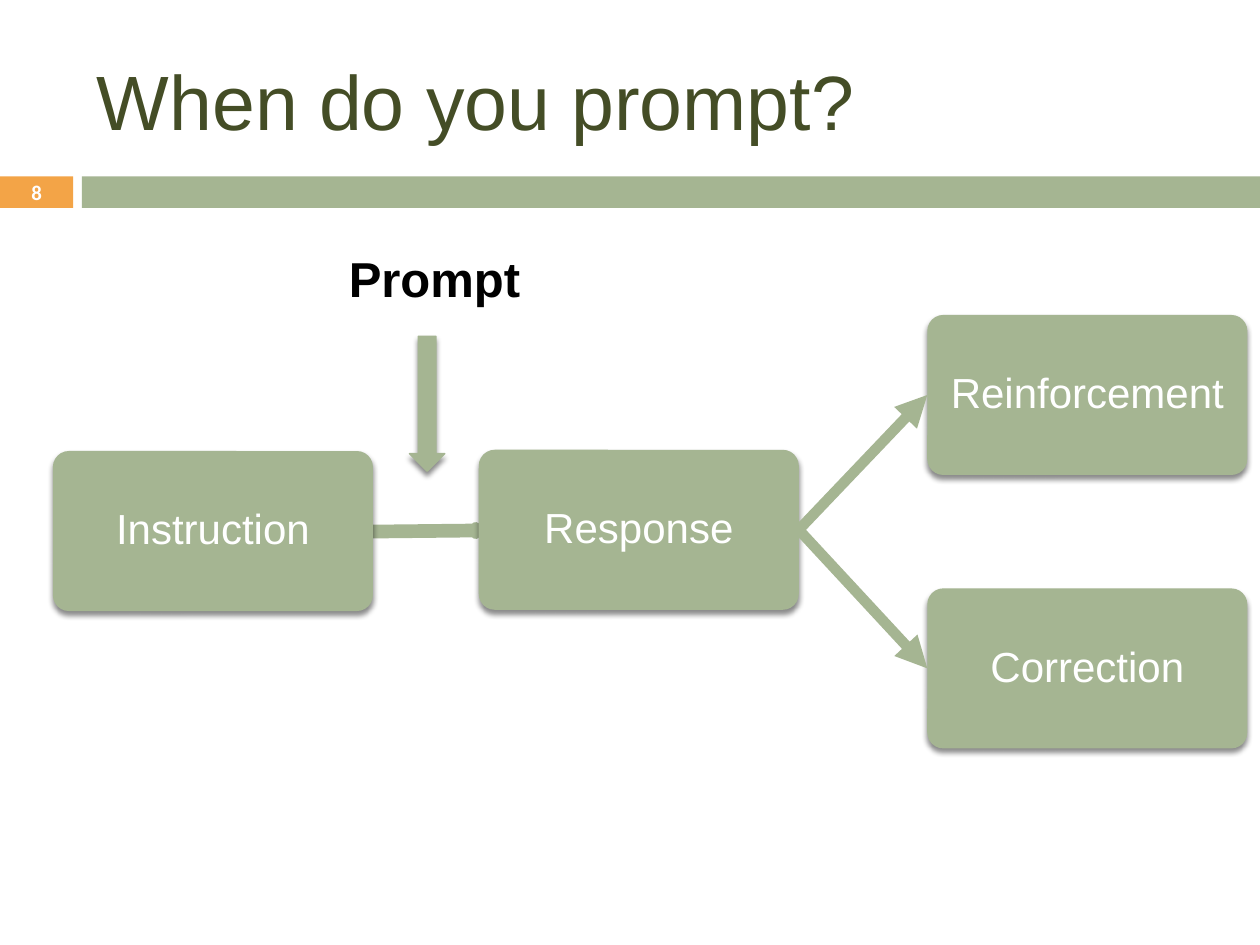
from lxml.etree import SubElement
from pptx import Presentation
from pptx.dml.color import RGBColor
from pptx.enum.shapes import MSO_CONNECTOR as Connector, MSO_SHAPE as Shape
from pptx.enum.text import MSO_ANCHOR as Anchor, PP_ALIGN as Align
from pptx.oxml import parse_xml
from pptx.oxml.ns import nsdecls, qn
from pptx.util import Inches, Pt

COLORS = {"green": "A5B592", "orange": "F3A447", "olive": "444D26",
          "white": "FFFFFF", "black": "000000"}

BARS = [("orange", 0, 0.58), ("green", 0.65, 9.35)]  # colour, left, width
BAR_TOP, BAR_HEIGHT = 1.4, 0.25

# text, position, format
LABELS = [
    ("When do you prompt?", (0.67, 0.25, 8.92, 1.08),
     dict(size=44, color="olive", anchor=Anchor.MIDDLE)),
    ("Prompt", (2.67, 1.92, 1.75, 0.57),
     dict(size=28, color="black", bold=True)),
    ("8", (0, 1.39, 0.58, 0.27),
     dict(size=11.9, color="white", bold=True, font="Calibri",
          anchor=Anchor.MIDDLE, align=Align.CENTER)),
]

STEP_WIDTH, STEP_HEIGHT = 2.54, 1.27
STEPS = {"Instruction": (0.42, 3.58), "Response": (3.8, 3.57),
         "Reinforcement": (7.36, 2.5), "Correction": (7.36, 4.67)}
OUTCOMES = ["Reinforcement", "Correction"]


def rgb(name):
    return RGBColor.from_string(COLORS[name])


def write(shape, text, size, color, bold=False, font="Arial",
          anchor=Anchor.TOP, align=Align.LEFT, line_spacing=None, inset=None):
    frame = shape.text_frame
    frame.word_wrap = True
    frame.vertical_anchor = anchor
    if inset is not None:
        for side in ("left", "right", "top", "bottom"):
            setattr(frame, f"margin_{side}", Inches(inset))
    para = frame.paragraphs[0]
    para.alignment = align
    if line_spacing:
        para.line_spacing = line_spacing
    span = para.add_run()
    span.text = text
    for name, value in {"size": Pt(size), "bold": bold, "name": font}.items():
        setattr(span.font, name, value)
    span.font.color.rgb = rgb(color)


def add_shape(page, kind, place, fill=None, line_width=0, shadow=False):
    shape = page.shapes.add_shape(kind, *map(Inches, place))
    shape.shadow.inherit = False
    if fill:
        shape.fill.solid()
        shape.fill.fore_color.rgb = rgb(fill)
    else:
        shape.fill.background()
    if line_width:
        shape.line.color.rgb = rgb("green")
        shape.line.width = Pt(line_width)
    else:
        shape.line.fill.background()
    if shadow:
        effects = shape._element.spPr.find(qn("a:effectLst"))
        effects.append(parse_xml(
            f'<a:outerShdw {nsdecls("a")} blurRad="{Pt(3)}" dist="{Pt(2.4)}" '
            f'dir="5400000" rotWithShape="0"><a:srgbClr val="{COLORS["black"]}">'
            '<a:alpha val="45000"/></a:srgbClr></a:outerShdw>'))
    return shape


def add_arrow(page, source, target):
    """Join the right side of source to the left side of target."""
    arrow = page.shapes.add_connector(Connector.STRAIGHT, 0, 0, 0, 0)
    arrow.begin_connect(source, 3)
    arrow.end_connect(target, 1)
    arrow.line.color.rgb = rgb("green")
    arrow.line.width = Pt(6)
    SubElement(arrow.line._get_or_add_ln(), qn("a:tailEnd"), type="triangle")
    SubElement(arrow._element.spPr, qn("a:effectLst"))


def main():
    deck = Presentation()
    deck.slide_width, deck.slide_height = Inches(10), Inches(7.5)
    page = deck.slides.add_slide(deck.slide_layouts[6])

    for color, left, width in BARS:
        add_shape(page, Shape.RECTANGLE, (left, BAR_TOP, width, BAR_HEIGHT), color)

    # Lies behind the steps, so that Response covers its tip
    link = add_shape(page, Shape.RIGHT_ARROW, (2.95, 4.19, 0.85, 0.05), line_width=6)
    link.rotation = 359.4

    boxes = {}
    for step, corner in STEPS.items():
        box = add_shape(page, Shape.ROUNDED_RECTANGLE,
                        (*corner, STEP_WIDTH, STEP_HEIGHT), "green", shadow=True)
        box.adjustments[0] = 0.1
        write(box, step, 24, "white", anchor=Anchor.MIDDLE, align=Align.CENTER,
              line_spacing=0.9, inset=0.05)
        boxes[step] = box

    for outcome in OUTCOMES:
        add_arrow(page, boxes["Response"], boxes[outcome])

    add_shape(page, Shape.DOWN_ARROW, (3.25, 2.67, 0.28, 1.07), "green",
              line_width=0.79, shadow=True)

    for text, place, style in LABELS:
        write(page.shapes.add_textbox(*map(Inches, place)), text, **style)

    deck.save("out.pptx")


if __name__ == "__main__":
    main()
